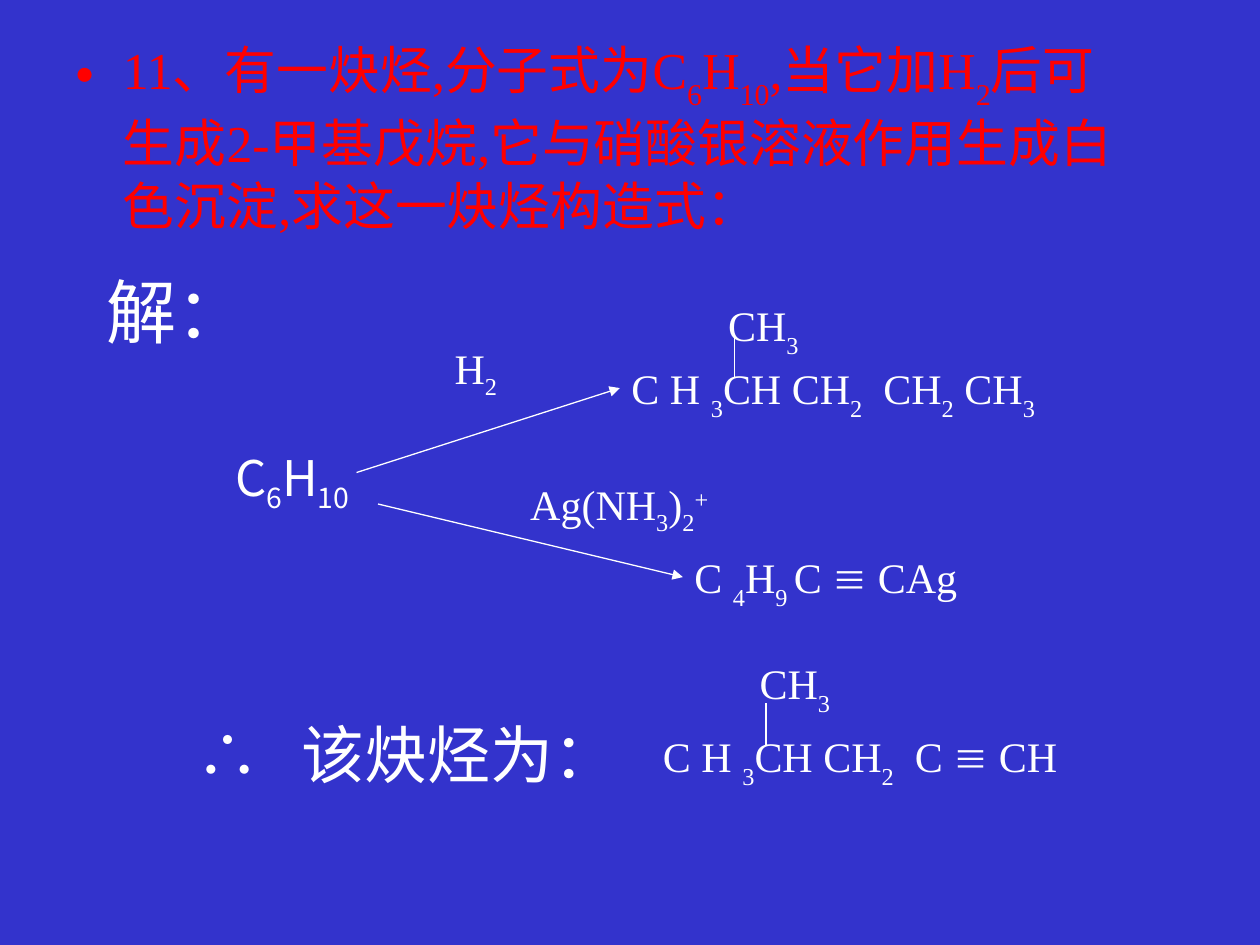
from pptx import Presentation
from pptx.dml.color import RGBColor
from pptx.enum.shapes import MSO_CONNECTOR
from pptx.enum.text import MSO_ANCHOR, MSO_AUTO_SIZE
from pptx.oxml.ns import qn
from pptx.util import Inches, Pt
from lxml.etree import SubElement

BLUE = RGBColor(0x33, 0x33, 0xCC)
RED = RGBColor(0xFF, 0x00, 0x00)
WHITE = RGBColor(0xFF, 0xFF, 0xFF)
LATIN = "Times New Roman"
CJK = "Noto Sans CJK SC"


class SlideBuilder:
    """Draws text and lines in one style; _, ~ and ^ mark low, slightly low and raised runs."""

    def __init__(self, slide):
        self.slide = slide
        self.base = {"_": -30000, "~": -25000, "^": 30000}
        fill = slide.background.fill
        fill.solid()
        fill.fore_color.rgb = BLUE

    def add_runs(self, p, runs, size, color, font=None):
        for text in runs:
            base = self.base.get(text[0])
            text = text[1:] if base else text
            r = p.add_run()
            r.text = text
            r.font.size = Pt(20 if text == "≡" else size)
            r.font.color.rgb = color
            r.font.name = font or (LATIN if text[0].isascii() else CJK)
            rPr = r._r.get_or_add_rPr()
            SubElement(rPr, qn("a:ea")).set("typeface", CJK)
            if base:
                rPr.set("baseline", str(base))

    def body(self, left, top, width, height, runs, size):
        sp = self.slide.placeholders[1]
        sp.left, sp.top = Inches(left), Inches(top)
        sp.width, sp.height = Inches(width), Inches(height)
        tf = sp.text_frame
        tf.auto_size = MSO_AUTO_SIZE.NONE
        tf.vertical_anchor = MSO_ANCHOR.TOP
        p = tf.paragraphs[0]
        p.space_before = Pt(0)
        p.line_spacing = 1.0
        self.add_runs(p, runs, size, RED)

    def text(self, left, top, width, height, runs, size=24, font=None, wrap=False):
        sp = self.slide.shapes.add_textbox(
            Inches(left), Inches(top), Inches(width), Inches(height))
        tf = sp.text_frame
        tf.word_wrap = wrap
        tf.auto_size = MSO_AUTO_SIZE.SHAPE_TO_FIT_TEXT
        self.add_runs(tf.paragraphs[0], runs, size, WHITE, font)

    def line(self, x1, y1, x2, y2, arrow=False):
        cxn = self.slide.shapes.add_connector(
            MSO_CONNECTOR.STRAIGHT, Inches(x1), Inches(y1), Inches(x2), Inches(y2))
        cxn.line.color.rgb = WHITE
        cxn.line.width = Pt(0.75)
        if arrow:
            SubElement(cxn.line._get_or_add_ln(), qn("a:tailEnd")).set("type", "triangle")
        SubElement(cxn._element.spPr, qn("a:effectLst"))

    def methyl_branch(self, left, top, bond_top, bond_bottom):
        self.text(left, top, 0.76, 0.57, ["CH", "_3"])
        self.line(left + 0.15, bond_top, left + 0.15, bond_bottom)


def main():
    prs = Presentation()
    prs.slide_width, prs.slide_height = Inches(10), Inches(7.5)
    slide = prs.slides.add_slide(prs.slide_layouts[1])
    title = slide.shapes.title._element
    title.getparent().remove(title)
    s = SlideBuilder(slide)

    s.body(0.5, 0.25, 8.5, 1.75, [
        "11、", "有一炔烃", ",", "分子式为", "C", "_6", "H", "_10", ",", "当它加",
        "H", "_2", "后可生成", "2-", "甲基戊烷", ",",
        "它与硝酸银溶液作用生成白色沉淀", ",", "求这一炔烃构造式："], 29.6)

    s.text(0.75, 2.08, 1.75, 0.77, ["解："], 40, wrap=True)
    s.text(1.46, 5.63, 3.95, 0.7, ["∴   该炔烃为："], 36)
    s.text(1.77, 3.5, 1.12, 0.63, ["C", "~6", "H", "~10"], 28, CJK)

    isobutyl = [" C H ", "_3", "CH CH", "_2"]
    s.text(4.83, 2.83, 4.58, 0.57,
           isobutyl + ["  CH", "_2", " CH", "_3"], wrap=True)
    s.text(5.08, 5.75, 3.58, 0.57, isobutyl + ["  C ", "≡", " CH"], wrap=True)
    s.text(5.33, 4.33, 2.58, 0.57,
           [" C ", "_4", "H", "_9 ", "C ", "≡", " CAg"], wrap=True)

    s.text(3.51, 2.67, 0.54, 0.56, ["H", "~2"])
    s.text(4.11, 3.75, 1.75, 0.56, ["Ag(NH", "~3", ")", "~2", "^+"], wrap=True)
    s.line(2.83, 3.75, 4.92, 3.08, arrow=True)
    s.line(3, 4, 5.42, 4.58, arrow=True)

    s.methyl_branch(5.68, 2.33, 2.67, 3)
    s.methyl_branch(5.93, 5.17, 5.58, 5.92)

    prs.save("out.pptx")


if __name__ == "__main__":
    main()
